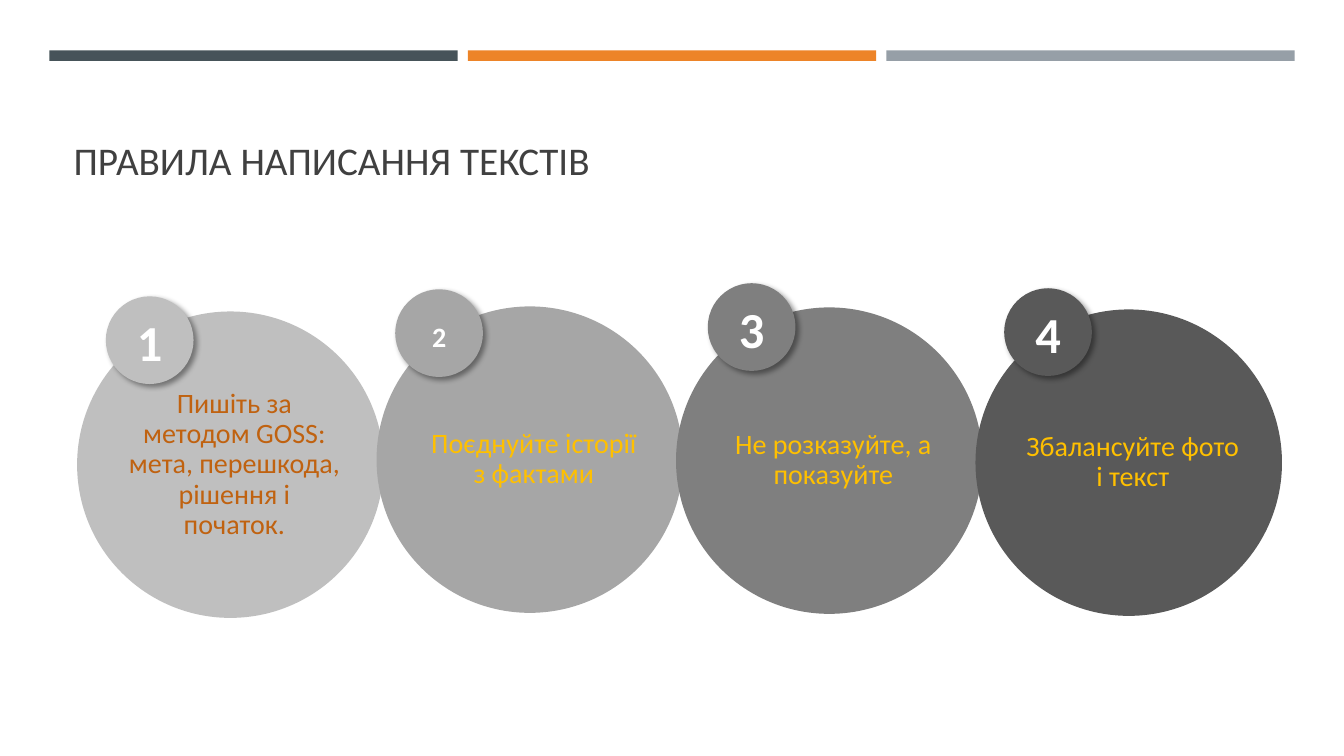
from lxml import etree
from pptx import Presentation
from pptx import util as u
from pptx.dml.color import RGBColor
from pptx.enum import shapes, text
from pptx.oxml.ns import qn

COLORS = {
    "slate": "465359", "orange": "ED8428", "steel": "969FA7",
    "gray1": "BFBFBF", "gray2": "A6A6A6", "gray3": "7F7F7F", "gray4": "595959",
    "rust": "C06210", "gold": "FFC000", "white": "FFFFFF", "title": "404040",
}
CELL = u.Inches(0.1)  # one grid column or row


def color(name):
    return RGBColor.from_string(COLORS[name])


def write(frame, words, *, size, ink, bold=False, align=text.PP_ALIGN.CENTER,
          anchor=text.MSO_ANCHOR.MIDDLE, insets=(0, 0, 0, 0), spacing=0.9, font="Calibri"):
    frame.word_wrap = True
    frame.auto_size = text.MSO_AUTO_SIZE.NONE
    frame.vertical_anchor = anchor
    (frame.margin_left, frame.margin_top,
     frame.margin_right, frame.margin_bottom) = [round(inset * CELL) for inset in insets]
    paragraph = frame.paragraphs[0]
    paragraph.alignment = align
    paragraph.line_spacing = spacing
    run = paragraph.add_run()
    run.text = words
    run.font.name = font
    run.font.size = u.Pt(size)
    run.font.bold = bold
    run.font.color.rgb = color(ink)


class RulesSlide:
    def __init__(self, deck):
        self.slide = deck.slides.add_slide(deck.slide_layouts[5])

    def place(self, *cells):
        return [round(cell * CELL) for cell in cells]

    def title(self, words, *cells):
        heading = self.slide.shapes.title
        heading.left, heading.top, heading.width, heading.height = self.place(*cells)
        write(heading.text_frame, words, size=28, ink="title", align=text.PP_ALIGN.LEFT,
              anchor=text.MSO_ANCHOR.BOTTOM, insets=(1, 0.5, 1, 0.5))

    def solid(self, kind, fill, *cells):
        body = self.slide.shapes.add_shape(kind, *self.place(*cells))
        body.shadow.inherit = False
        body.fill.solid()
        body.fill.fore_color.rgb = color(fill)
        body.line.fill.background()
        return body

    def bar(self, fill, *cells):
        self.solid(shapes.MSO_SHAPE.RECTANGLE, fill, *cells)

    def circle(self, fill, left, top, diameter, raised=False):
        disc = self.solid(shapes.MSO_SHAPE.OVAL, fill, left, top, diameter, diameter)
        if raised:
            effects = disc._element.spPr.find(qn("a:effectLst"))
            shadow = etree.SubElement(effects, qn("a:outerShdw"), blurRad=str(u.Pt(4)),
                                      dist=str(u.Pt(3)), dir=str(45 * 60000))
            black = etree.SubElement(shadow, qn("a:srgbClr"), val="000000")
            etree.SubElement(black, qn("a:alpha"), val="40000")

    def label(self, words, *cells, **style):
        box = self.slide.shapes.add_textbox(*self.place(*cells))
        write(box.text_frame, words, **style)


# Rule text, ink, circle top, badge left, badge top, number size
RULES = [
    ("Пишіть за методом GOSS: мета, перешкода, рішення і початок.",
     "rust", 30.9, 10.5, 29.4, 36),
    ("Поєднуйте історії з фактами", "gold", 30.4, 39.2, 28.7, 20),
    ("Не розказуйте, а показуйте", "gold", 30.5, 70.2, 28.1, 36),
    ("Збалансуйте фото і текст", "gold", 30.7, 99.6, 28.6, 36),
]
RULE_LEFT, RULE_STEP, RULE_SIZE = 7.65, 29.7, 30.4
BADGE_SIZE, NUMBER_SIZE = 8.7, 6.1


def main():
    deck = Presentation()
    deck.slide_width, deck.slide_height = u.Inches(13.33), u.Inches(7.5)
    page = RulesSlide(deck)

    # Top band
    for column, fill in enumerate(("slate", "orange", "steel")):
        page.bar(fill, 4.9 + 41.5 * column, 5, 40.5, 1.05)

    page.title("ПРАВИЛА НАПИСАННЯ ТЕКСТІВ", 6.3, 8, 120.6, 10.8)

    # Numbered rules
    for index, (rule, ink, top, badge_left, badge_top, size) in enumerate(RULES):
        fill = f"gray{index + 1}"
        left = RULE_LEFT + RULE_STEP * index
        page.circle(fill, left, top, RULE_SIZE)
        page.label(rule, left + 4.85, top, 25.5, RULE_SIZE,
                   size=20, ink=ink, insets=(0, 1.6, 4, 1.6))
        page.circle(fill, badge_left, badge_top, BADGE_SIZE, raised=True)
        inset = (BADGE_SIZE - NUMBER_SIZE) / 2
        page.label(str(index + 1), badge_left + inset, badge_top + inset,
                   NUMBER_SIZE, NUMBER_SIZE, size=size, ink="white", bold=True,
                   insets=(0, 1, 0, 0))

    deck.save("out.pptx")


if __name__ == "__main__":
    main()
